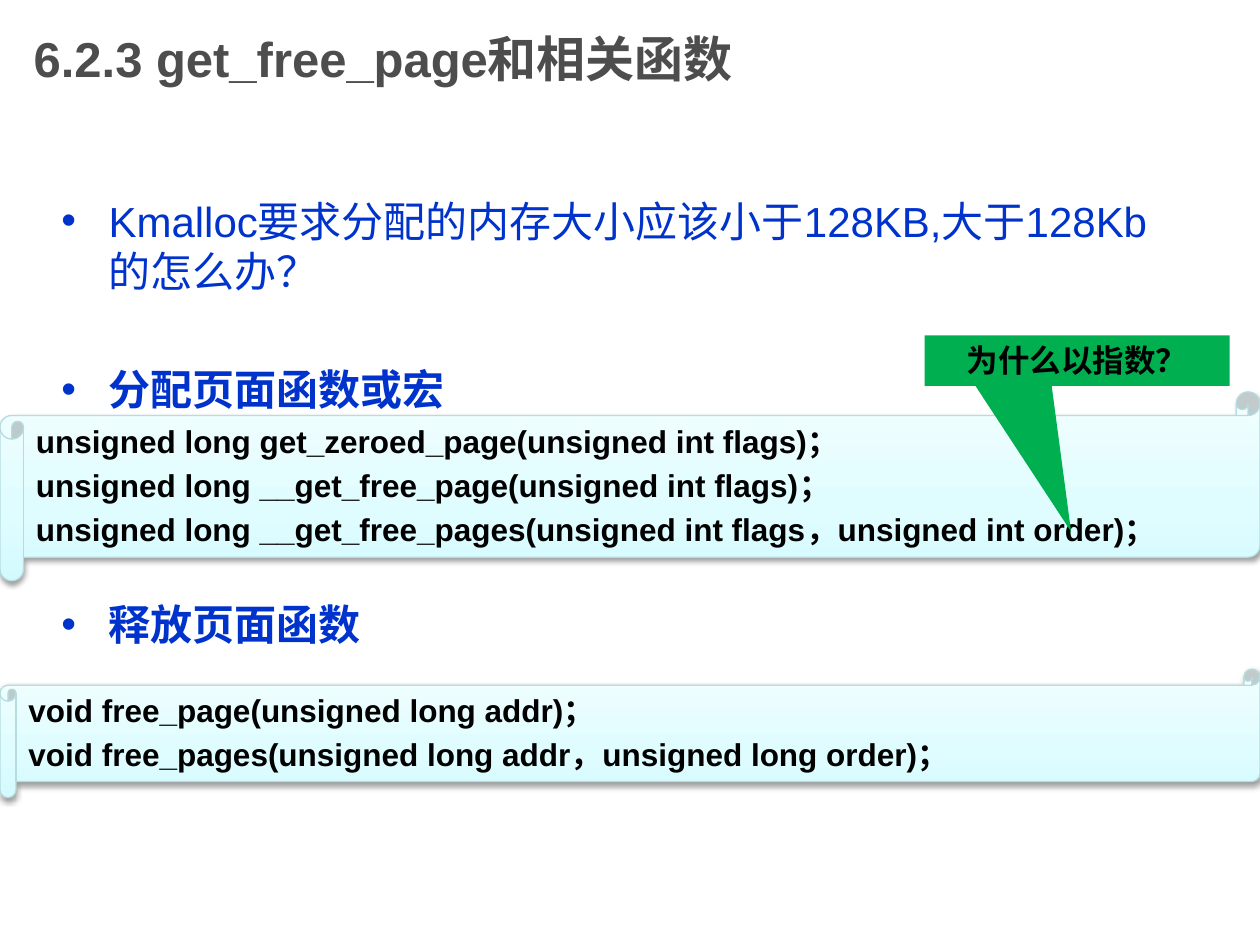
import copy
import pptx
import pptx.dml.color
import pptx.enum.dml
import pptx.enum.shapes
import pptx.enum.text
import pptx.oxml
import pptx.oxml.ns
import pptx.util

Cm = pptx.util.Cm
Pt = pptx.util.Pt
ALIGN = pptx.enum.text.PP_ALIGN
SHAPE = pptx.enum.shapes.MSO_SHAPE
SCROLL_STOPS = [(0, "D3FBFF"), (35, "DFFCFF"), (100, "F2FEFF")]


def colour(value):
    return pptx.dml.color.RGBColor.from_string(value)


def element(tag, **attributes):
    item = pptx.oxml.parse_xml(f'<a:{tag} {pptx.oxml.ns.nsdecls("a")}/>')
    for name, value in attributes.items():
        item.set(name, str(value))
    return item


def nested(outer, *inner):
    for item in inner:
        outer.append(item)
    return outer


def write_para(frame, text, size=18, font="Arial", fill="000000", bold=True,
               align=None, before=0, hang=0, bullet=None):
    para = frame.paragraphs[0]
    if para.runs:
        para = frame.add_paragraph()
    para.alignment = align
    para.space_before = Pt(before)
    properties = para._p.get_or_add_pPr()
    if hang:
        properties.set("marL", str(Cm(hang)))
        properties.set("indent", str(-Cm(hang)))
    if bullet:
        properties.append(element("buFont", typeface="Arial"))
        properties.append(element("buChar", char=bullet))
    span = para.add_run()
    span.text = text
    span.font.size = Pt(size)
    span.font.name = font
    span.font.bold = bold
    span.font.color.rgb = colour(fill)
    span._r.get_or_add_rPr().append(element("ea", typeface=font))


def add_frame(page, box):
    frame = page.shapes.add_textbox(*map(Cm, box)).text_frame
    frame.word_wrap = True
    return frame


def add_block(page, kind, box):
    block = page.shapes.add_shape(kind, *map(Cm, box))
    block.shadow.inherit = False
    block.text_frame.word_wrap = True
    block.text_frame.vertical_anchor = pptx.enum.text.MSO_ANCHOR.TOP
    return block


def add_title(page, box, text):
    frame = add_frame(page, box)
    frame.vertical_anchor = pptx.enum.text.MSO_ANCHOR.MIDDLE
    write_para(frame, text, size=28, fill="4D4D4D")


def add_topics(page, box, topics):
    frame = add_frame(page, box)
    for text, bold, before in topics:
        write_para(frame, text, size=24, fill="0033CC", bold=bold,
                   before=before, hang=0.95, bullet="•")


def fill_scroll(block):
    block.fill.gradient()
    block.fill.gradient_angle = 90
    stops = block._element.spPr.find(".//" + pptx.oxml.ns.qn("a:gsLst"))
    for stop in list(stops):
        stops.remove(stop)
    for position, value in SCROLL_STOPS:
        stops.append(nested(element("gs", pos=position * 1000),
                            element("srgbClr", val=value)))


def cast_shadow(block):
    shade = nested(element("srgbClr", val="000000"), element("alpha", val=38000))
    shadow = element("outerShdw", blurRad=Pt(3.1), dist=Pt(1.6),
                     dir=5400000, rotWithShape=0)
    effects = block._element.spPr.find(pptx.oxml.ns.qn("a:effectLst"))
    effects.append(nested(shadow, shade))


def add_scroll(page, box, lines, align):
    block = add_block(page, SHAPE.HORIZONTAL_SCROLL, box)
    fill_scroll(block)
    block.line.color.rgb = colour("B6DCDF")
    block.line.width = Pt(0.75)
    cast_shadow(block)
    for index, line in enumerate(lines):
        write_para(block.text_frame, line, align=align, hang=1.27,
                   before=3.6 if index else 0)


def add_callout(page, box, text, tip):
    block = add_block(page, SHAPE.RECTANGULAR_CALLOUT, box)
    block.fill.solid()
    block.fill.fore_color.rgb = colour("00B050")
    block.line.fill.background()
    block.adjustments[0], block.adjustments[1] = tip
    write_para(block.text_frame, text, font="Arial Narrow", align=ALIGN.CENTER)


def main():
    deck = pptx.Presentation()
    deck.slide_width, deck.slide_height = Cm(25.4), Cm(19.05)
    page = deck.slides.add_slide(deck.slide_layouts[6])
    add_title(page, (0.43, 0, 19.05, 2.34), "6.2.3 get_free_page和相关函数")
    add_topics(page, (0.99, 3.81, 22.5, 13.13), [
        ("Kmalloc要求分配的内存大小应该小于128KB,大于128Kb的怎么办？", False, 0),
        ("分配页面函数或宏", True, 38.5),
        ("释放页面函数", True, 105.5),
    ])
    add_scroll(page, (0, 7.9, 25.4, 3.81), [
        "unsigned long get_zeroed_page(unsigned int flags)；",
        "unsigned long __get_free_page(unsigned int flags)；",
        "unsigned long __get_free_pages(unsigned int flags，unsigned int order)；",
    ], ALIGN.JUSTIFY)
    add_scroll(page, (0, 13.49, 25.4, 2.59), [
        "void free_page(unsigned long addr)；",
        "void free_pages(unsigned long addr，unsigned long order)；",
    ], ALIGN.LEFT)
    add_callout(page, (18.64, 6.76, 6.15, 1.02), "为什么以指数？", (-0.02, 3.38))
    deck.save("out.pptx")


if __name__ == "__main__":
    main()
